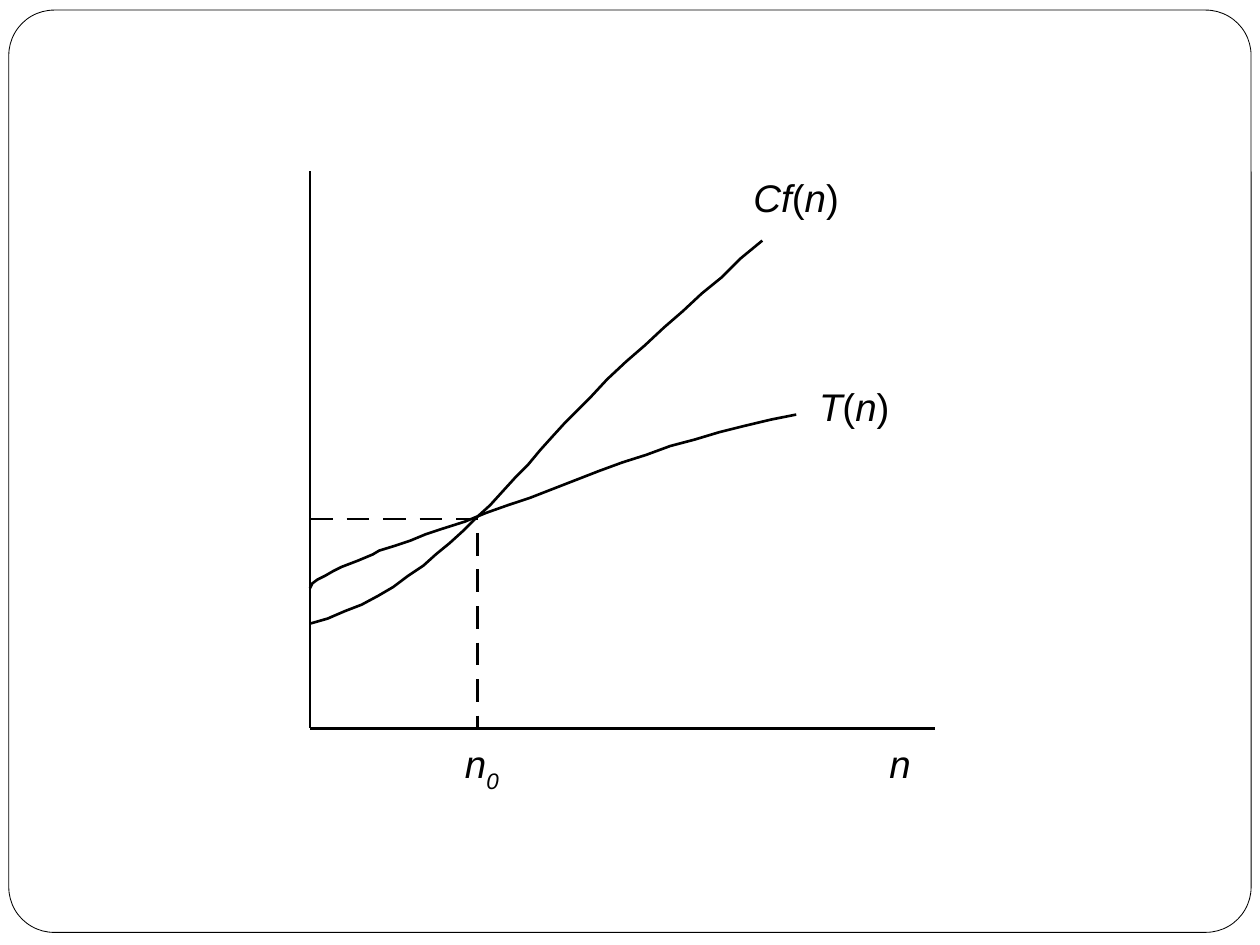
from lxml import etree
from pptx import Presentation
from pptx.dml.color import RGBColor
from pptx.enum.shapes import MSO_CONNECTOR, MSO_SHAPE
from pptx.enum.text import MSO_ANCHOR, MSO_AUTO_SIZE, PP_ALIGN
from pptx.oxml.ns import qn
from pptx.util import Inches, Pt

STRAIGHT = MSO_CONNECTOR.STRAIGHT
ROUNDED = MSO_SHAPE.ROUNDED_RECTANGLE
TITLE_ONLY = 5
INK, PAPER, FONT = "000000", "FFFFFF", "Arial"
TEXT_SIZE, LINE_WIDTH = 22, 1.5

# Plot geometry in inches
WIDTH, HEIGHT = 10, 7.5
ORIGIN_X, ORIGIN_Y = 2.46, 5.78
AXIS_TOP, AXIS_RIGHT = 1.36, 7.42
CROSS_X, CROSS_Y = 3.79, 4.12
DASH, DASH_STEP = 0.18, 0.29
FRAME = (0.07, 0.08, 9.86, 7.32)
FRAME_RADIUS = 0.36

BOUND_CURVE = [
    (2.46, 4.95), (2.6, 4.91), (2.74, 4.85), (2.87, 4.8), (3, 4.73),
    (3.12, 4.66), (3.24, 4.57), (3.36, 4.49), (3.46, 4.4), (3.57, 4.31),
    (3.68, 4.21), (3.78, 4.11), (3.89, 4.01), (3.99, 3.9), (4.09, 3.79),
    (4.19, 3.69), (4.29, 3.57), (4.38, 3.47), (4.48, 3.36), (4.58, 3.26),
    (4.69, 3.15), (4.82, 3.01), (4.97, 2.87), (5.12, 2.74), (5.27, 2.6),
    (5.42, 2.47), (5.57, 2.33), (5.73, 2.2), (5.88, 2.05), (6.05, 1.91),
]
TIME_CURVE = [
    (2.46, 4.67), (2.48, 4.63), (2.52, 4.6), (2.58, 4.57), (2.65, 4.53),
    (2.71, 4.5), (2.84, 4.45), (2.96, 4.4), (3.01, 4.37), (3.14, 4.33),
    (3.26, 4.29), (3.38, 4.24), (3.5, 4.2), (3.69, 4.14), (3.86, 4.07),
    (4.03, 4.01), (4.21, 3.95), (4.39, 3.88), (4.57, 3.81), (4.75, 3.74),
    (4.94, 3.67), (5.13, 3.61), (5.32, 3.54), (5.51, 3.49), (5.71, 3.43),
    (5.91, 3.38), (6.12, 3.33), (6.32, 3.29),
]

# Each label is a list of (text, style) spans
BOUND_LABEL = [("Cf", "italic"), ("(", "plain"), ("n", "italic"), (")", "plain")]
TIME_LABEL = [("T", "italic"), ("(", "plain"), ("n", "italic"), (")", "plain")]
CROSS_LABEL = [("n", "italic"), ("0", "subscript")]
AXIS_LABEL = [("n", "italic")]


def color(value):
    return RGBColor.from_string(value)


def inches(values):
    return [Inches(value) for value in values]


def style_line(line, width=LINE_WIDTH):
    line.color.rgb = color(INK)
    line.width = Pt(width)


def add_line(page, start, end):
    line = page.shapes.add_connector(STRAIGHT, *inches((*start, *end)))
    style_line(line.line)
    etree.SubElement(line._element.spPr, qn("a:effectLst"))


def add_curve(page, points):
    start, *rest = [inches(point) for point in points]
    builder = page.shapes.build_freeform(*start)
    builder.add_line_segments(rest, close=False)
    curve = builder.convert_to_shape()
    curve.fill.background()
    curve.shadow.inherit = False
    style_line(curve.line)


def dashes(start, stop):
    """Return (from, to) pairs at equal steps, the last one cut at stop."""
    count = int((stop - start) / DASH_STEP) + 1
    firsts = [start + index * DASH_STEP for index in range(count)]
    return [(first, min(first + DASH, stop)) for first in firsts]


def write_label(box, spans, at, indent=0.01):
    box.left, box.top, box.width, box.height = inches(at)
    frame = box.text_frame
    frame.word_wrap = True
    frame.auto_size = MSO_AUTO_SIZE.NONE
    frame.vertical_anchor = MSO_ANCHOR.TOP
    frame.margin_left, frame.margin_top = inches((indent, 0.01))
    frame.margin_right = frame.margin_bottom = 0
    para = frame.paragraphs[0]
    para.alignment = PP_ALIGN.LEFT
    para.space_before = Pt(0.9)
    for text, style in spans:
        span = para.add_run()
        span.text = text
        span.font.name = FONT
        span.font.size = Pt(TEXT_SIZE)
        span.font.italic = style != "plain"
        span.font.color.rgb = color(INK)
        if style == "subscript":
            span._r.get_or_add_rPr().set("baseline", "-29000")


def add_label(page, spans, at, **options):
    write_label(page.shapes.add_textbox(0, 0, 0, 0), spans, at, **options)


def main():
    deck = Presentation()
    deck.slide_width, deck.slide_height = inches((WIDTH, HEIGHT))
    page = deck.slides.add_slide(deck.slide_layouts[TITLE_ONLY])
    page.background.fill.solid()
    page.background.fill.fore_color.rgb = color(PAPER)

    border = page.shapes.add_shape(ROUNDED, *inches(FRAME))
    border.adjustments[0] = FRAME_RADIUS / FRAME[3]
    border.fill.background()
    border.shadow.inherit = False
    style_line(border.line, 0.48)

    add_line(page, (ORIGIN_X, AXIS_TOP), (ORIGIN_X, ORIGIN_Y))
    add_line(page, (ORIGIN_X, ORIGIN_Y), (AXIS_RIGHT, ORIGIN_Y))
    add_curve(page, BOUND_CURVE)
    add_curve(page, TIME_CURVE)
    for first, last in dashes(ORIGIN_X, CROSS_X):
        add_line(page, (first, CROSS_Y), (last, CROSS_Y))
    for first, last in dashes(CROSS_Y + DASH_STEP - DASH, ORIGIN_Y):
        add_line(page, (CROSS_X, first), (CROSS_X, last))

    write_label(page.shapes.title, BOUND_LABEL, (5.97, 1.37, 0.71, 0.39))
    add_label(page, TIME_LABEL, (6.49, 3.03, 0.59, 0.39))
    add_label(page, CROSS_LABEL, (3.65, 5.86, 0.37, 0.39), indent=0.04)
    add_label(page, AXIS_LABEL, (7.05, 5.86, 0.2, 0.39))
    deck.save("out.pptx")


if __name__ == "__main__":
    main()
